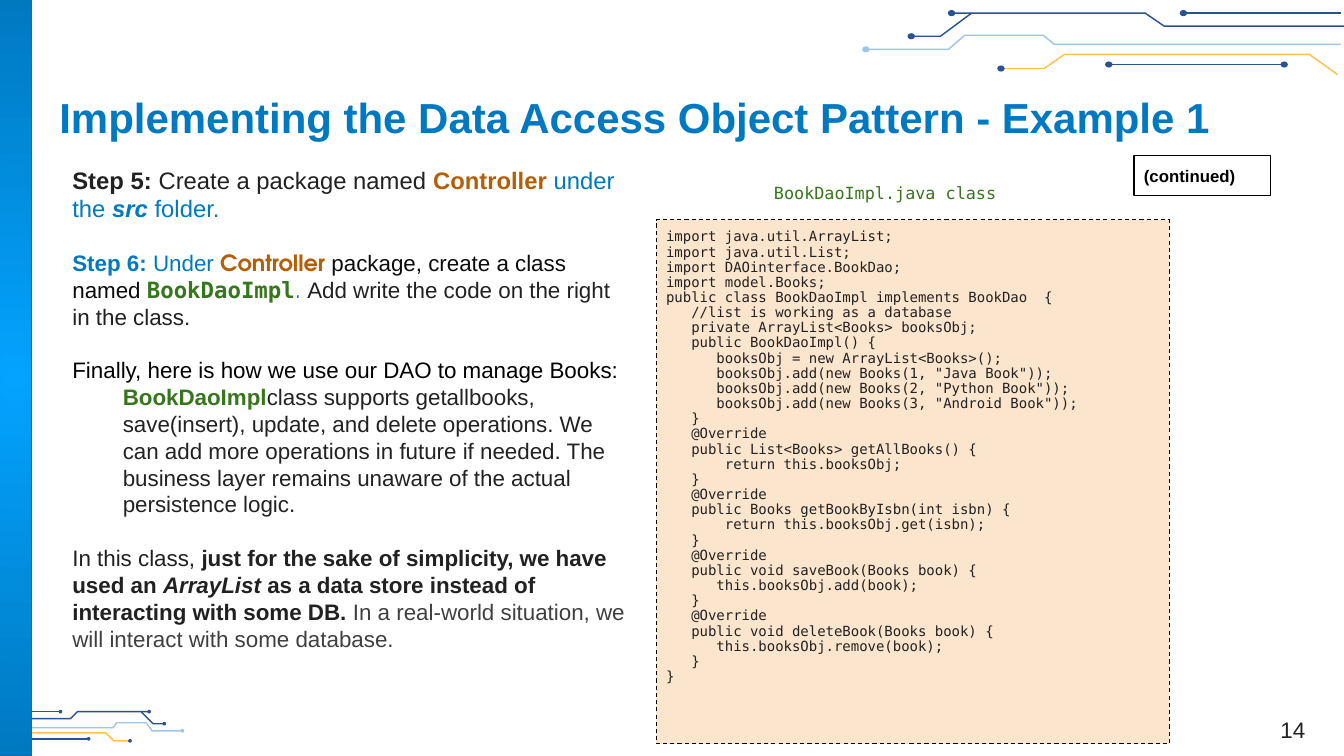
from dataclasses import dataclass, field
from typing import Any, NamedTuple

from lxml import etree
from pptx import Presentation
from pptx.dml.color import RGBColor
from pptx.enum.dml import MSO_LINE
from pptx.enum.shapes import MSO_CONNECTOR, MSO_SHAPE
from pptx.enum.text import MSO_ANCHOR, PP_ALIGN
from pptx.oxml.ns import qn
from pptx.util import Inches, Pt

RECTANGLE, OVAL, STRAIGHT = MSO_SHAPE.RECTANGLE, MSO_SHAPE.OVAL, MSO_CONNECTOR.STRAIGHT
DASH, SOLID = MSO_LINE.DASH, MSO_LINE.SOLID
TOP, MIDDLE, BOTTOM = MSO_ANCHOR.TOP, MSO_ANCHOR.MIDDLE, MSO_ANCHOR.BOTTOM
LEFT, CENTER = PP_ALIGN.LEFT, PP_ALIGN.CENTER

COLUMNS, ROWS = 160, 90
CELL = Inches(7.5) // ROWS
SANS, MONO, GEOMETRIC = "Arial", "DejaVu Sans Mono", "TeX Gyre Adventor"
COLOURS = {
    "navy": "285293", "sky": "9FC5E8", "amber": "FEC14F", "blue": "0079C0",
    "bright": "03A3FF", "grey": "595959", "black": "000000", "ink": "212121",
    "code": "222222", "soft": "404040", "near_black": "0C0C0C",
    "orange": "B45F06", "green": "38761D", "peach": "FCE5CD",
}


class Area(NamedTuple):
    """Left, top, width and height in grid cells."""
    left: float
    top: float
    width: float
    height: float


class Span(NamedTuple):
    text: str
    colour: str = "ink"
    bold: bool = False
    italic: bool = False
    font: str = SANS
    size: float = 16


@dataclass
class Para:
    spans: list[Span]
    format: dict[str, Any] = field(default_factory=dict)
    indent: float = 0


@dataclass
class Box:
    area: Area
    paras: list[Para]
    anchor: Any = TOP
    fill: str = ""
    outline: str = ""
    dash: Any = SOLID


@dataclass
class Trace:
    """A circuit line that ends in a dot at its last point."""
    colour: str
    points: list[tuple[float, float]]
    dot: str = "navy"
    dot_at_start: bool = False


CORNER_TRACES = [
    Trace("navy", [(0.48, 85.56), (8.4, 85.56), (9.24, 84.72), (17.76, 84.72)]),
    Trace("navy", [(16.8, 84.72), (18.24, 86.16), (19.56, 86.16)]),
    Trace("navy", [(0, 84.72), (7.2, 84.72)]),
    Trace("amber", [(0.12, 88.56), (1.44, 87.24), (12.6, 87.24), (13.56, 88.2), (15.48, 88.2)]),
    Trace("navy", [(2.52, 87.96), (10.56, 87.96)]),
    Trace("sky", [(0.96, 86.64), (13.44, 86.64), (13.92, 86.04), (17.4, 86.04),
                  (18.12, 87), (21.72, 87)], "sky"),
]
HEADER_TRACES = [
    Trace("navy", [(160, 3.12), (138.6, 3.12), (136.32, 1.56), (113.28, 1.56)]),
    Trace("navy", [(115.68, 1.56), (111.96, 4.32), (108.48, 4.32)]),
    Trace("navy", [(159.6, 1.56), (140.88, 1.56)]),
    Trace("amber", [(159.24, 8.88), (155.88, 6.48), (126.72, 6.48), (124.32, 8.16), (119.16, 8.16)]),
    Trace("navy", [(152.88, 7.68), (132, 7.68)], dot_at_start=True),
    Trace("sky", [(159.6, 5.28), (125.52, 5.28), (124.2, 4.2), (114.84, 4.2),
                  (112.92, 5.88), (103.08, 5.88)], "sky"),
]

CODE_SETUP = """import java.util.ArrayList;
import java.util.List;
import DAOinterface.BookDao;
import model.Books;
public class BookDaoImpl implements BookDao  {
   //list is working as a database
   private ArrayList<Books> booksObj;
   public BookDaoImpl() {
      booksObj = new ArrayList<Books>();
      booksObj.add(new Books(1, "Java Book"));
      booksObj.add(new Books(2, "Python Book"));
      booksObj.add(new Books(3, "Android Book"));
   }"""
CODE_METHODS = """   @Override
   public List<Books> getAllBooks() {
       return this.booksObj;
   }
   @Override
   public Books getBookByIsbn(int isbn) {
       return this.booksObj.get(isbn);
   }
   @Override
   public void saveBook(Books book) {
      this.booksObj.add(book);
   }
   @Override
   public void deleteBook(Books book) {
      this.booksObj.remove(book);
   }
}"""
CODE_LINES = CODE_SETUP.splitlines() + CODE_METHODS.splitlines()

NEW_TOPIC = {"space_before": Pt(19)}
STEPS = [
    Para([Span("Step 5: ", bold=True, size=17), Span("Create a package named ", size=17),
          Span("Controller ", "orange", True, size=17), Span("under the ", "blue", size=17),
          Span("src ", "blue", True, True, size=17), Span("folder.", "blue", size=17)]),
    Para([Span("Step 6: ", "blue", True), Span("Under ", "blue"),
          Span("Controller ", "orange", True, font=GEOMETRIC),
          Span("package, create a class named ", "near_black"),
          Span("BookDaoImpl", "green", True, font=MONO), Span(". ", "blue", font=GEOMETRIC),
          Span("Add write the code on the right in the class.")], NEW_TOPIC),
    Para([Span("Finally, here is how we use our DAO to manage Books:", "black")], NEW_TOPIC),
    Para([Span("BookDaoImpl", "green", True),
          Span("class supports getallbooks, save(insert), update, and delete operations. "
               "We can add more operations in future if needed. The business layer remains "
               "unaware of the actual persistence logic.", "code")], indent=6),
    Para([Span("In this class, "),
          Span("just for the sake of simplicity, we have used an ", bold=True),
          Span("ArrayList", bold=True, italic=True),
          Span(" as a data store instead of interacting with some DB. ", bold=True),
          Span("In a real-world situation, we will interact with some database.", "soft")],
         NEW_TOPIC),
]
BOXES = [
    Box(Area(5.88, 9.24, 144.24, 9.24), [Para([Span(
        "Implementing the Data Access Object Pattern - Example 1", "blue", True, size=30)])], MIDDLE),
    Box(Area(78.12, 26.16, 61.08, 62.4),
        [Para([Span(line, "code", font=MONO, size=10)], {"line_spacing": 0.9})
         for line in CODE_LINES], fill="peach", outline="black", dash=DASH),
    Box(Area(148.8, 81.4, 10.2, 8.2),
        [Para([Span("14", "code")], {"alignment": CENTER})], BOTTOM),
    Box(Area(7.44, 18.48, 68.88, 66.96), STEPS),
    Box(Area(90.96, 20.52, 31.8, 4.8),
        [Para([Span("BookDaoImpl.java class", "green", font=MONO, size=12)])]),
    Box(Area(135, 18.48, 16.2, 4.8),
        [Para([Span("(continued)", "black", True, size=12)])], MIDDLE, outline="black"),
]


def cells(*counts: float) -> list[int]:
    return [round(count * CELL) for count in counts]


def colour(name: str) -> RGBColor:
    return RGBColor.from_string(COLOURS[name])


def set_format(target: Any, values: dict[str, Any]) -> None:
    for name, value in values.items():
        setattr(target, name, value)


def set_line(shape: Any, name: str, width: float) -> None:
    shape.line.color.rgb = colour(name)
    shape.line.width = Pt(width)


def draw_trace(page: Any, trace: Trace, dot_size: tuple[float, float]) -> None:
    points = [tuple(cells(*point)) for point in trace.points]
    if len(points) == 2:
        wire = page.shapes.add_connector(STRAIGHT, *points[0], *points[1])
        etree.SubElement(wire._element.spPr, qn("a:effectLst"))
    else:
        builder = page.shapes.build_freeform(*points[0])
        builder.add_line_segments(points[1:], close=False)
        wire = builder.convert_to_shape()
        wire.fill.background()
        wire.shadow.inherit = False
    set_line(wire, trace.colour, 1.03)
    width, height = dot_size
    for x, y in trace.points[-1:] + trace.points[:1] * trace.dot_at_start:
        dot = page.shapes.add_shape(OVAL, *cells(x - width / 2, y - height / 2, width, height))
        dot.fill.solid()
        dot.fill.fore_color.rgb = colour(trace.dot)
        dot.shadow.inherit = False
        set_line(dot, trace.dot, 0.75)


def draw_band(page: Any, area: Area) -> None:
    """Draw the side band, bright at its centre and darker outwards."""
    band = page.shapes.add_shape(RECTANGLE, *cells(*area))
    band.shadow.inherit = False
    set_line(band, "grey", 0.75)
    band.fill.gradient()
    for stop, name in zip(band.fill.gradient_stops, ("bright", "blue")):
        stop.color.rgb = colour(name)
    gradient = band._element.spPr.find(qn("a:gradFill"))
    gradient.remove(gradient.find(qn("a:lin")))
    radial = etree.SubElement(gradient, qn("a:path"), {"path": "circle"})
    etree.SubElement(radial, qn("a:fillToRect"), dict.fromkeys("ltrb", "50000"))


def draw_box(page: Any, box: Box) -> None:
    if box.outline:
        shape = page.shapes.add_shape(RECTANGLE, *cells(*box.area))
        shape.shadow.inherit = False
        set_line(shape, box.outline, 0.75)
        shape.line.dash_style = box.dash
    else:
        shape = page.shapes.add_textbox(*cells(*box.area))
    if box.fill:
        shape.fill.solid()
        shape.fill.fore_color.rgb = colour(box.fill)
    else:
        shape.fill.background()
    frame = shape.text_frame
    margins = {f"margin_{side}": Inches(0.1) for side in ("left", "top", "right", "bottom")}
    set_format(frame, {"word_wrap": True, "vertical_anchor": box.anchor} | margins)
    for index, para in enumerate(box.paras):
        paragraph = frame.add_paragraph() if index else frame.paragraphs[0]
        set_format(paragraph, {"alignment": LEFT} | para.format)
        if para.indent:
            paragraph._p.get_or_add_pPr().set("marL", str(cells(para.indent)[0]))
        for span in para.spans:
            run = paragraph.add_run()
            run.text = span.text
            set_format(run.font, {"name": span.font, "size": Pt(span.size),
                                  "bold": span.bold, "italic": span.italic})
            run.font.color.rgb = colour(span.colour)


def main() -> None:
    deck = Presentation()
    deck.slide_width, deck.slide_height = cells(COLUMNS, ROWS)
    page = deck.slides.add_slide(deck.slide_layouts[6])
    for traces, dot_size in ((CORNER_TRACES, (0.3, 0.3)), (HEADER_TRACES, (0.74, 0.6))):
        for trace in traces:
            draw_trace(page, trace, dot_size)
    draw_band(page, Area(0, 0, 3.78, ROWS))
    for box in BOXES:
        draw_box(page, box)
    deck.save("out.pptx")


if __name__ == "__main__":
    main()
